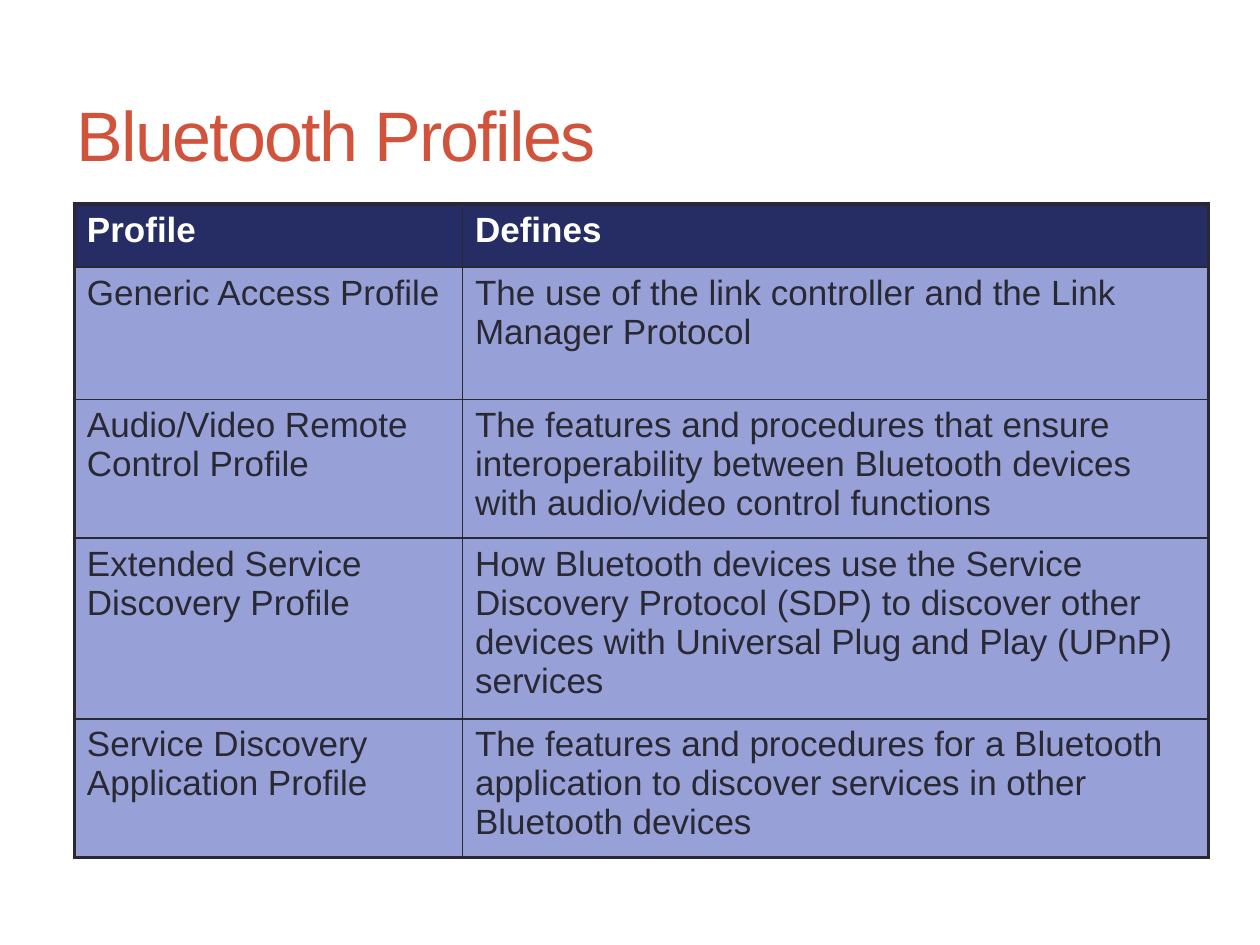
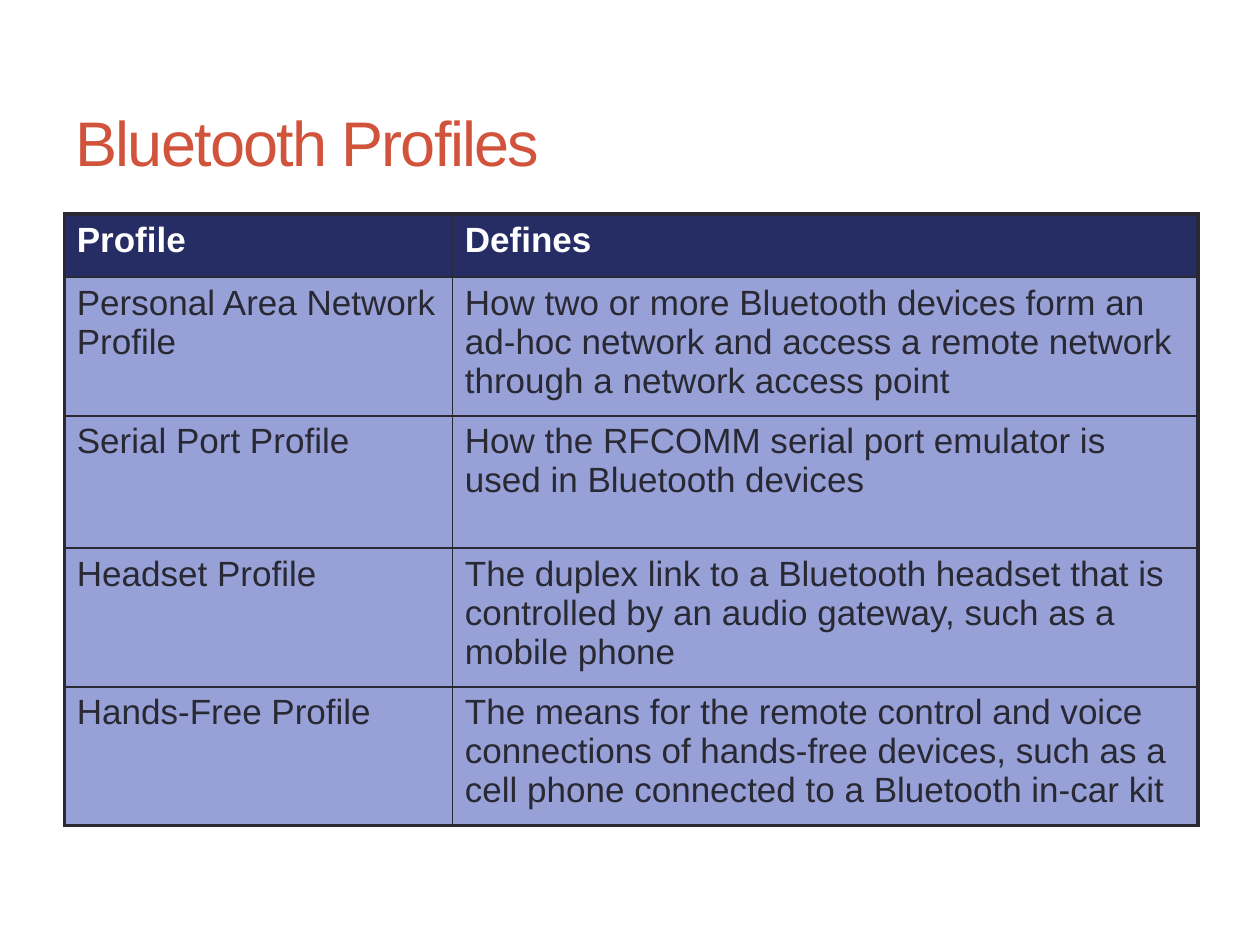
from dataclasses import dataclass

from lxml.etree import SubElement as Sub
from pptx import Presentation
from pptx.dml.color import RGBColor as RGB
from pptx.enum.text import MSO_ANCHOR as Anchor
from pptx.oxml.ns import qn
from pptx.slide import Slide
from pptx.table import _Cell as Cell
from pptx.text.text import TextFrame as Frame
from pptx.util import Inches, Pt

# Grid: 100 columns by 75 rows
WIDE, HIGH = Inches(10), Inches(7.5)
COL, ROW = WIDE / 100, HIGH / 75

# Shared look
FONT = "Arial"
RED = RGB(0xD2, 0x53, 0x3C)
NAVY = RGB(0x26, 0x2D, 0x64)
LILAC = RGB(0x98, 0xA0, 0xD8)
INK = RGB(0x29, 0x29, 0x34)
WHITE = RGB(0xFF, 0xFF, 0xFF)
THICK, THIN = Pt(2.25), Pt(1)

TITLE = "Bluetooth Profiles"
TITLE_W, TITLE_H = 90, 10.8
HEAD = ("Profile", "Defines")
COLS = (30.8, 59.2)
HEAD_H, BODY_H = 5, 10.5


@dataclass(frozen=True)
class Spot:
    """A place in grid columns and rows."""
    col: float
    row: float


@dataclass(frozen=True)
class Page:
    title: Spot
    size: int
    table: Spot
    rows: tuple[tuple[str, str], ...]


PAGES = (
    Page(Spot(5.1, 5.2), 40, Spot(5.9, 16.2), (
        ("Generic Access Profile",
         "The use of the link controller and the Link Manager Protocol"),
        ("Audio/Video Remote Control Profile",
         "The features and procedures that ensure interoperability between "
         "Bluetooth devices with audio/video control functions"),
        ("Extended Service Discovery Profile",
         "How Bluetooth devices use the Service Discovery Protocol (SDP) to "
         "discover other devices with Universal Plug and Play (UPnP) services"),
        ("Service Discovery Application Profile",
         "The features and procedures for a Bluetooth application to discover "
         "services in other Bluetooth devices"),
    )),
    Page(Spot(5, 5.8), 36, Spot(5.1, 17), (
        ("Personal Area Network Profile",
         "How two or more Bluetooth devices form an ad-hoc network and access "
         "a remote network through a network access point"),
        ("Serial Port Profile",
         "How the RFCOMM serial port emulator is used in Bluetooth devices"),
        ("Headset Profile",
         "The duplex link to a Bluetooth headset that is controlled by an "
         "audio gateway, such as a mobile phone"),
        ("Hands-Free Profile",
         "The means for the remote control and voice connections of hands-free "
         "devices, such as a cell phone connected to a Bluetooth in-car kit"),
    )),
)


def cols(count: float) -> int:
    return round(count * COL)


def rows(count: float) -> int:
    return round(count * ROW)


def write(frame: Frame, text: str, size: int, color: RGB,
          bold: bool = False, track: int = 0) -> None:
    """Add one run; track is letter spacing in hundredths of a point."""
    run = frame.paragraphs[0].add_run()
    run.text = text
    font = run.font
    font.name, font.size, font.bold = FONT, Pt(size), bold
    font.color.rgb = color
    if track:
        run._r.get_or_add_rPr().set("spc", str(track))


def edge(cell: Cell, side: str, width: int) -> None:
    line = Sub(cell._tc.get_or_add_tcPr(), qn(f"a:ln{side}"), w=str(width))
    fill = Sub(line, qn("a:solidFill"))
    Sub(fill, qn("a:srgbClr"), val=str(INK))


def add_title(slide: Slide, page: Page) -> None:
    box = slide.shapes.add_textbox(cols(page.title.col), rows(page.title.row),
                                   cols(TITLE_W), rows(TITLE_H))
    frame = box.text_frame
    frame.word_wrap = True
    frame.vertical_anchor = Anchor.MIDDLE
    write(frame, TITLE, page.size, RED, track=-100)


def add_grid(slide: Slide, page: Page) -> None:
    data = (HEAD, *page.rows)
    tall = [HEAD_H] + [BODY_H] * len(page.rows)
    table = slide.shapes.add_table(
        len(data), len(COLS), cols(page.table.col), rows(page.table.row),
        cols(sum(COLS)), rows(sum(tall))).table
    table.first_row = table.horz_banding = False
    for col, width in zip(table.columns, COLS):
        col.width = cols(width)
    for row, height in zip(table.rows, tall):
        row.height = rows(height)

    # Cells: thick lines on the outer sides, thin ones within
    for r, texts in enumerate(data):
        for c, text in enumerate(texts):
            cell = table.cell(r, c)
            outer = {"L": c == 0, "R": c == len(COLS) - 1,
                     "T": r == 0, "B": r == len(data) - 1}
            for side, rim in outer.items():
                edge(cell, side, THICK if rim else THIN)
            top = r == 0
            cell.fill.solid()
            cell.fill.fore_color.rgb = NAVY if top else LILAC
            write(cell.text_frame, text, 20, WHITE if top else INK, top)


def main() -> None:
    deck = Presentation()
    deck.slide_width, deck.slide_height = WIDE, HIGH
    blank = deck.slide_layouts[6]
    for page in PAGES:
        slide = deck.slides.add_slide(blank)
        add_title(slide, page)
        add_grid(slide, page)
    deck.save("out.pptx")


if __name__ == "__main__":
    main()
